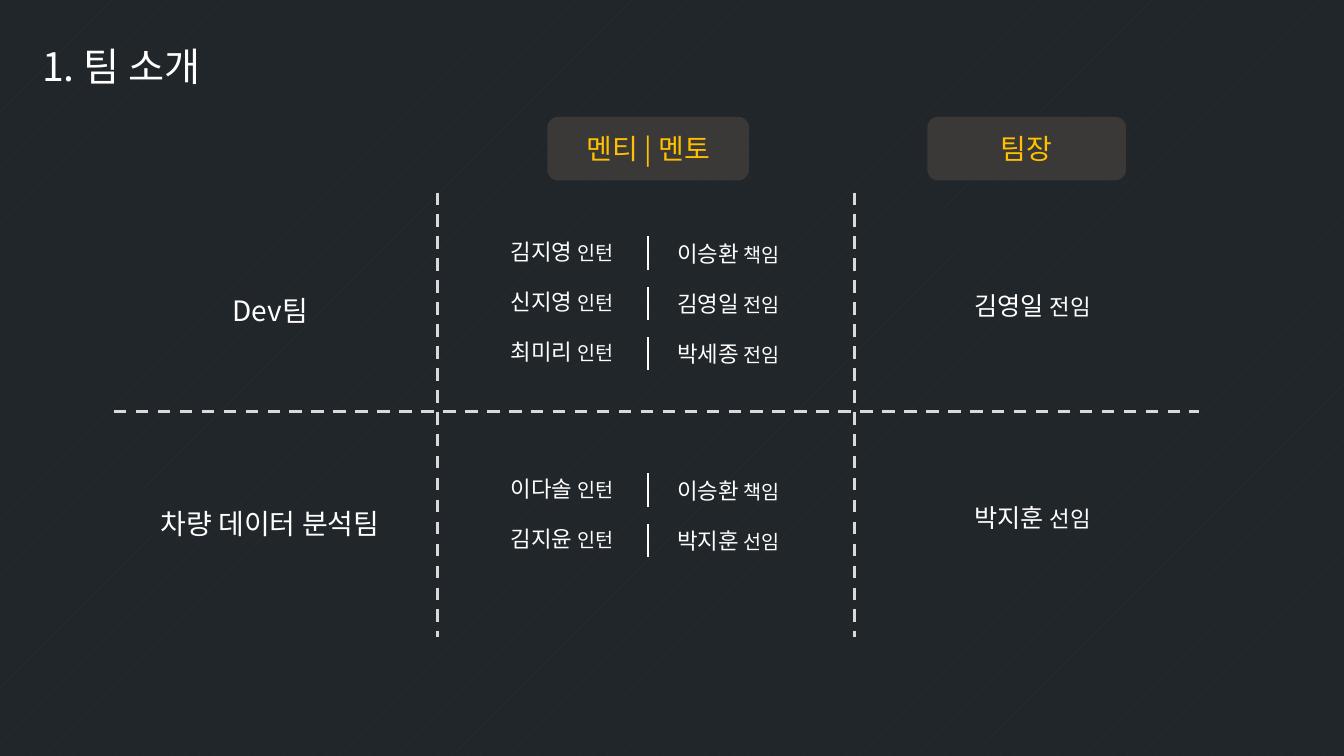
from pptx import Presentation
from pptx.dml.color import RGBColor
from pptx.enum.dml import MSO_LINE, MSO_PATTERN
from pptx.enum.shapes import MSO_CONNECTOR, MSO_SHAPE
from pptx.enum.text import MSO_ANCHOR, MSO_AUTO_SIZE, PP_ALIGN
from pptx.oxml.ns import qn
from pptx.util import Inches, Pt

DASH = MSO_LINE.DASH
DOTS = MSO_PATTERN.PERCENT_5
STRAIGHT = MSO_CONNECTOR.STRAIGHT
ROUNDED = MSO_SHAPE.ROUNDED_RECTANGLE
MIDDLE = MSO_ANCHOR.MIDDLE
GROW = MSO_AUTO_SIZE.SHAPE_TO_FIT_TEXT
CENTER = PP_ALIGN.CENTER

THEME = {
    "font": "Noto Sans CJK KR",
    "back": RGBColor.from_string("21262A"),
    "dots": RGBColor.from_string("282F34"),
    "text": RGBColor.from_string("FFFFFF"),
    "rule": RGBColor.from_string("D9D9D9"),
    "pill": RGBColor.from_string("3B3838"),
    "accent": RGBColor.from_string("FFC000"),
    "title": 28, "head": 20, "leader": 18, "name": 16, "rank": 14,
}

prs = Presentation()
prs.slide_width, prs.slide_height = Inches(13.33), Inches(7.5)
COL, ROW = prs.slide_width / 40, prs.slide_height / 30
s = prs.slides.add_slide(prs.slide_layouts[6])
fill = s.background.fill
fill.patterned()
fill.pattern = DOTS
fill.fore_color.rgb, fill.back_color.rgb = THEME["dots"], THEME["back"]


def add_text(runs, x, y, w, h, color="text", pill=False, align=None, spacing=None):
    box = [int(x * COL), int(y * ROW), int(w * COL), int(h * ROW)]
    if pill:
        sp = s.shapes.add_shape(ROUNDED, *box)
        sp.shadow.inherit = False
        sp.fill.solid()
        sp.fill.fore_color.rgb = THEME["pill"]
        sp.line.fill.background()
        sp.text_frame.vertical_anchor = MIDDLE
    else:
        sp = s.shapes.add_textbox(*box)
        sp.text_frame.auto_size = GROW
    tf = sp.text_frame
    tf.word_wrap = True
    p = tf.paragraphs[0]
    p.alignment, p.line_spacing = align, spacing
    for text, size in runs:
        r = p.add_run()
        r.text = text
        r.font.size = Pt(THEME[size])
        r.font.color.rgb = THEME[color]
        r.font.name = THEME["font"]
        ea = r.font._element.makeelement(qn("a:ea"), {"typeface": THEME["font"]})
        r.font._element.find(qn("a:latin")).addnext(ea)


def add_line(x1, y1, x2, y2, color="text", width=1, dash=None):
    c = s.shapes.add_connector(STRAIGHT, int(x1 * COL), int(y1 * ROW), int(x2 * COL), int(y2 * ROW))
    c.line.color.rgb = THEME[color]
    c.line.width = Pt(width)
    c.line.dash_style = dash
    props = c._element.spPr
    props.append(props.makeelement(qn("a:effectLst"), {}))


LEFT, RIGHT, TOP, MID, BOTTOM = 3.39, 35.67, 7.64, 16.32, 25.28
DIVIDERS = [13.02, 25.44]
TEAM_CENTER, MENTEE, BAR, MENTOR, LEADER = 8.04, 14.91, 19.29, 19.86, 28.71
NAME_W, NAME_H, LEADER_H, BAR_H, PAIR_STEP = 4.56, 1.48, 1.6, 1.32, 2

add_text([("1. 팀 소개", "title")], 0.96, 1.48, 10.92, 2.28)

for label, x, w in [("멘티 | 멘토", 16.29, 6), ("팀장", 27.6, 5.91)]:
    add_text([(label, "head")], x, 4.64, w, 2.52, color="accent", pill=True, align=CENTER)

for x in DIVIDERS:
    add_line(x, TOP, x, BOTTOM, color="rule", width=2.25, dash=DASH)
add_line(LEFT, MID, RIGHT, MID, color="rule", width=2.25, dash=DASH)

teams = [
    ("Dev팀", 3.27, 10.8, ("김영일", "전임"), 11.32, 9.24,
     [("김지영", "이승환", "책임"), ("신지영", "김영일", "전임"), ("최미리", "박세종", "전임")]),
    ("차량 데이터 분석팀", 9.18, 19.24, ("박지훈", "선임"), 19.72, 18.64,
     [("이다솔", "이승환", "책임"), ("김지윤", "박지훈", "선임")]),
]
for team, w, team_y, (leader, leader_rank), leader_y, first_y, pairs in teams:
    add_text([(team, "head")], TEAM_CENTER - w / 2, team_y, w, 2.44, align=CENTER, spacing=1.5)
    for i, (mentee, mentor, rank) in enumerate(pairs):
        y = first_y + i * PAIR_STEP
        add_text([(mentee + " ", "name"), ("인턴", "rank")], MENTEE, y, NAME_W, NAME_H)
        add_line(BAR, y + 0.14, BAR, y + 0.14 + BAR_H)
        add_text([(mentor + " ", "name"), (rank, "rank")], MENTOR, y + 0.08, NAME_W, NAME_H)
    add_text([(leader + " ", "leader"), (leader_rank, "name")], LEADER, leader_y, NAME_W, LEADER_H)

prs.save("out.pptx")
